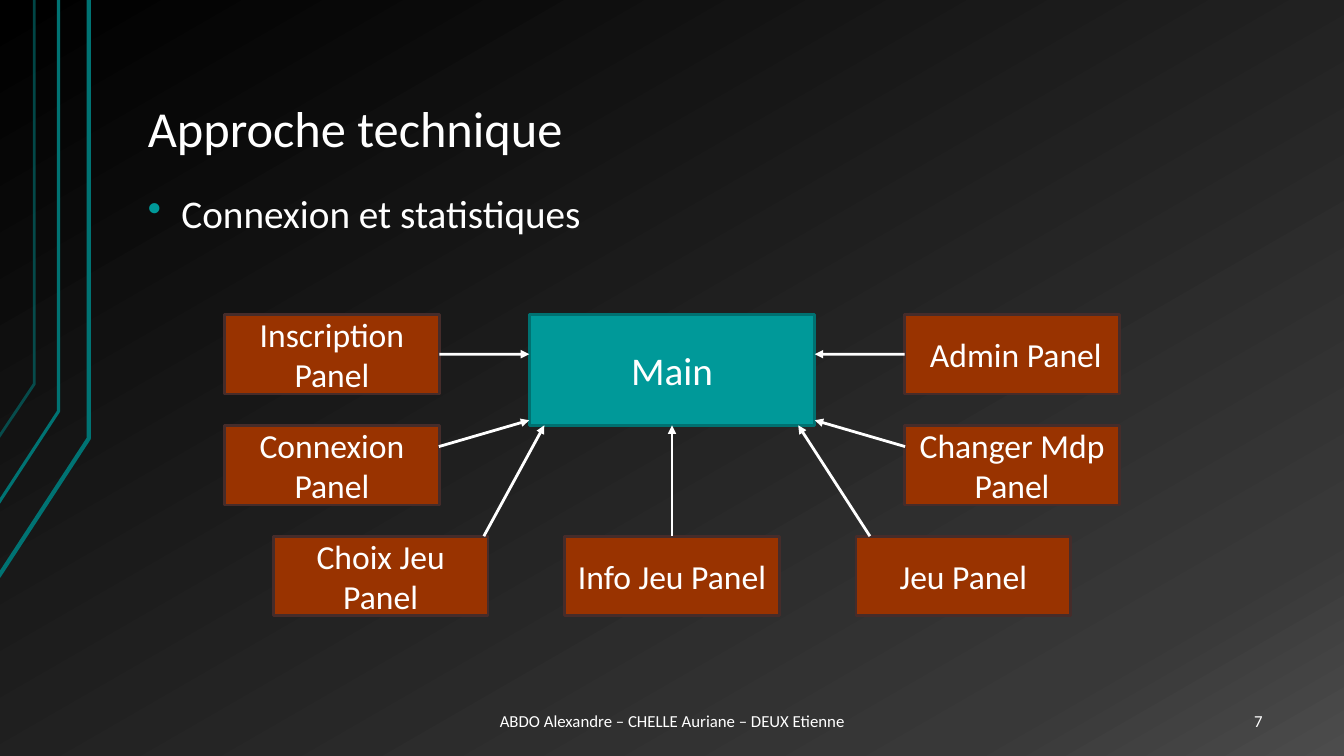
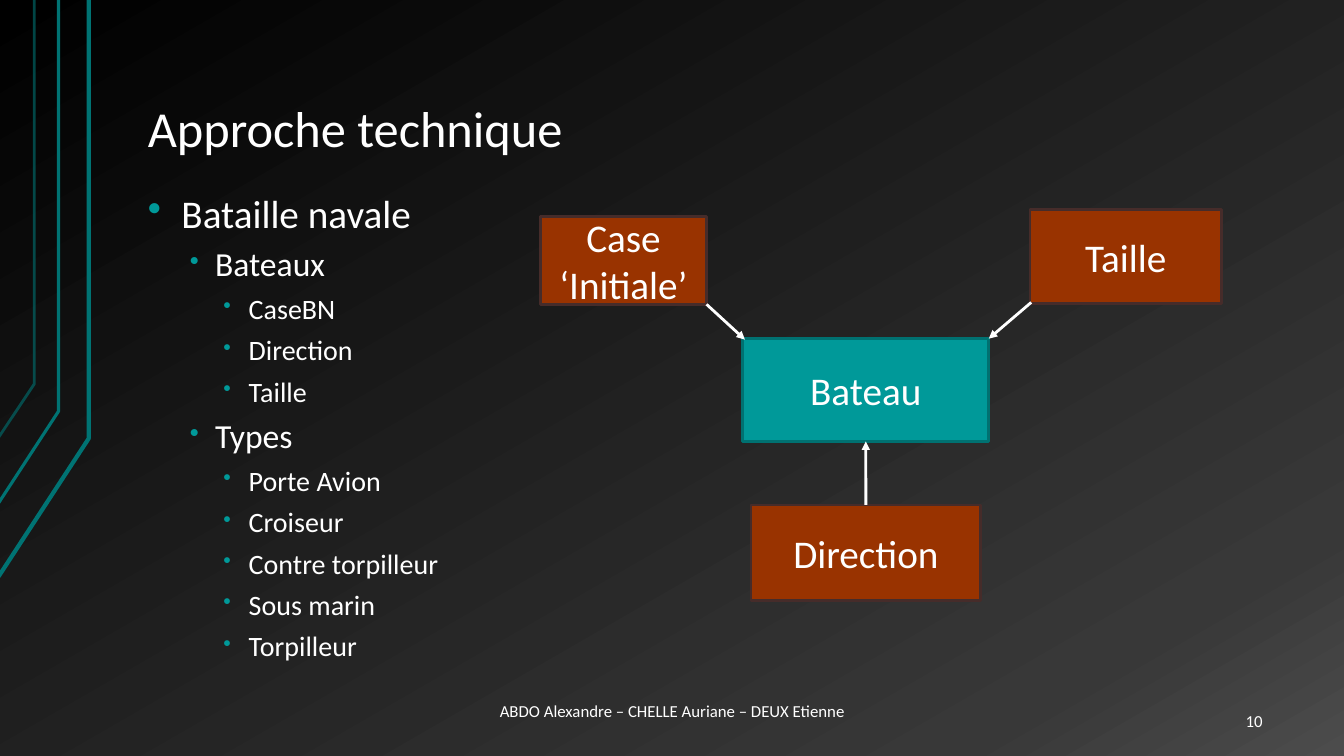
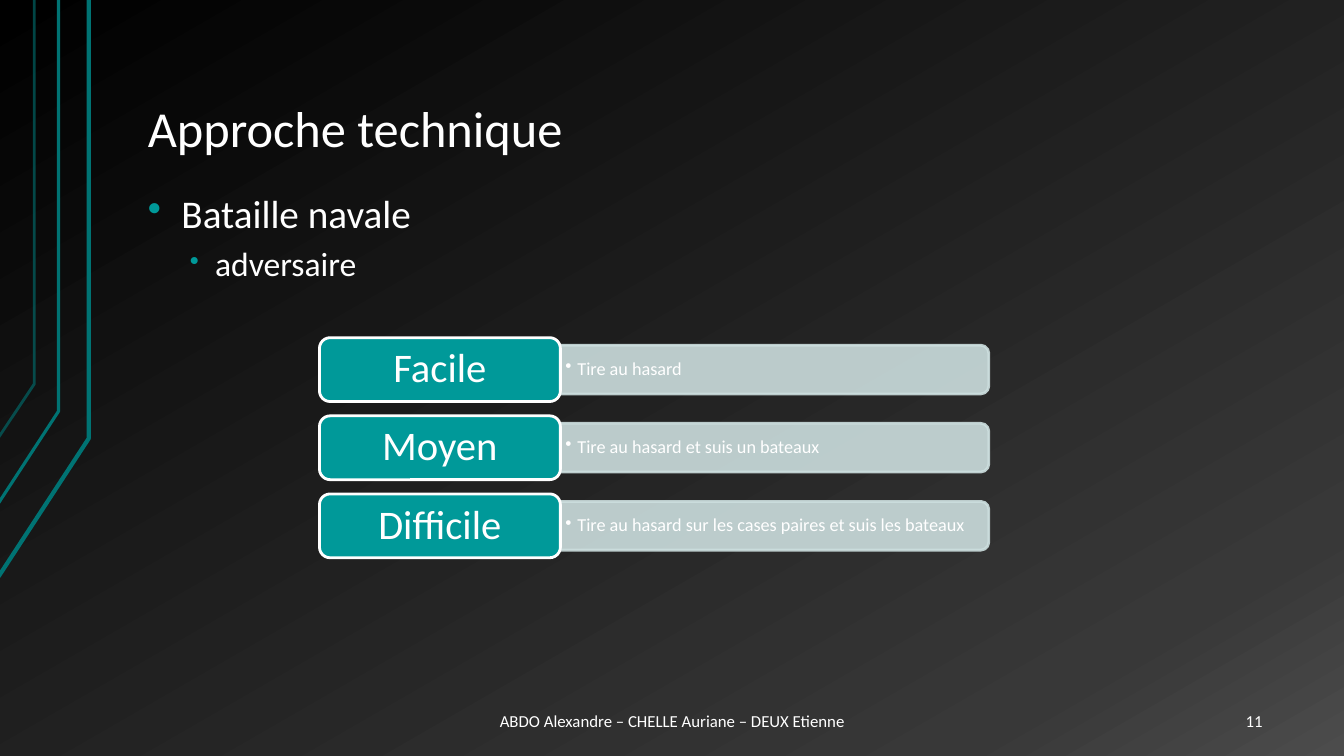
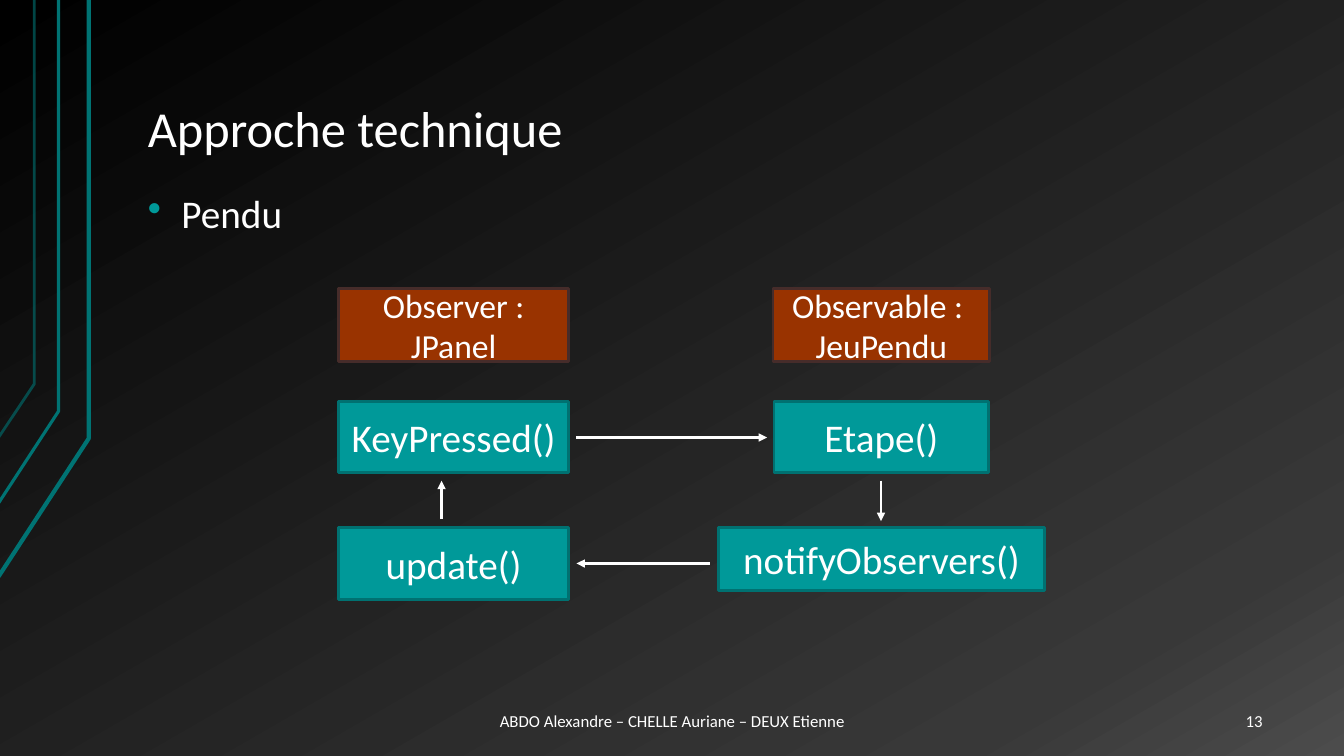
from copy import deepcopy

from lxml import etree
from pptx import Presentation
from pptx.dml.color import RGBColor
from pptx.enum.shapes import MSO_CONNECTOR, MSO_SHAPE
from pptx.enum.text import MSO_ANCHOR, PP_ALIGN
from pptx.oxml.ns import qn
from pptx.util import Pt

RECT, ROUNDED, TAB = MSO_SHAPE.RECTANGLE, MSO_SHAPE.ROUNDED_RECTANGLE, MSO_SHAPE.ROUND_2_SAME_RECTANGLE
STRAIGHT = MSO_CONNECTOR.STRAIGHT
LEFT, CENTER, RIGHT = PP_ALIGN.LEFT, PP_ALIGN.CENTER, PP_ALIGN.RIGHT
TOP, MIDDLE, BOTTOM = MSO_ANCHOR.TOP, MSO_ANCHOR.MIDDLE, MSO_ANCHOR.BOTTOM
TOP_SIDE, LEFT_SIDE, BOTTOM_SIDE, RIGHT_SIDE = range(4)

rgb = RGBColor.from_string
FONT = "Calibri"
WHITE, TEAL, BAND, ICE = "FFFFFF", "009999", "007373", "CCDEDE"
HUB = (TEAL, "007171")
LEAF = ("993300", "462C2A")
TITLE = "Approche technique"
FOOTER = "ABDO Alexandre – CHELLE Auriane – DEUX Etienne"


def write(sp, text, size, align=CENTER, anchor=MIDDLE, inset=(7.2, 3.6)):
    """Set the text of a shape and format all its runs alike."""
    tf = sp.text_frame
    tf.word_wrap = True
    tf.vertical_anchor = anchor
    tf.margin_left = tf.margin_right = Pt(inset[0])
    tf.margin_top = tf.margin_bottom = Pt(inset[1])
    tf.text = text
    for p in tf.paragraphs:
        p.alignment = align
        for r in p.runs:
            r.font.name, r.font.size = FONT, Pt(size)
            r.font.color.rgb = rgb(WHITE)
    return tf


def bullet(p, indent, hang, colour, percent):
    """Give a paragraph a hanging bullet; call after its spacing is set."""
    pPr = p._p.get_or_add_pPr()
    pPr.set("marL", str(Pt(indent)))
    pPr.set("indent", str(-Pt(hang)))
    clr = etree.SubElement(pPr, qn("a:buClr"))
    etree.SubElement(clr, qn("a:srgbClr")).set("val", colour)
    etree.SubElement(pPr, qn("a:buSzPct")).set("val", str(percent * 1000))
    etree.SubElement(pPr, qn("a:buChar")).set("char", "•")


# Presentation and shared background
prs = Presentation()
prs.slide_width, prs.slide_height = Pt(960), Pt(540)
fill = prs.slide_master.background.fill
fill.gradient()
fill.gradient_angle = 300
gs_list = prs.slide_master.element.find(".//" + qn("a:gsLst"))
gs_list.append(deepcopy(gs_list[-1]))
for stop, (position, colour) in zip(fill.gradient_stops, [(0, "000000"), (0.85, "383838"), (1, "4C4C4C")]):
    stop.position = position
    stop.color.rgb = rgb(colour)

# Decorative bands: x, bend y, foot y, line width, opacity
bands = [(63.4, 313.2, 411.8, 3, 100), (41.8, 293.8, 359.3, 2.25, 100), (24.5, 274.3, 312.5, 2, 60)]

# Bullet levels: size, indent, hang, space before, bullet percent
levels = [(28, 24, 24, 16, 100), (24, 48, 18, 8, 80), (20, 72, 18, 8, 80)]

# Panel grid of the first slide
pw, ph = 153.4, 56.9
left_x, right_x = 160.4, 960 - 160.4 - pw
mid_x, step_x = (960 - pw) / 2, 208.1
row1, row2, row3 = [224.6 + 79.2 * i for i in range(3)]

# Columns of the last slide
col_x, col_w = 241.9, 164.2

# Per slide: number, footer top, bullets, boxes, arrows.
# An arrow end is a point or a box with one of its sides.
contents = [
    (7, 500.4, [(0, "Connexion et statistiques")],
     [("Main", 378, row1, 204, 79.2, HUB, 28),
      ("Inscription Panel", left_x, row1, pw, ph, LEAF, 24),
      ("Connexion Panel", left_x, row2, pw, ph, LEAF, 24),
      ("Choix Jeu Panel", mid_x - step_x, row3, pw, ph, LEAF, 24),
      ("Info Jeu Panel", mid_x, row3, pw, ph, LEAF, 24),
      ("Jeu Panel", mid_x + step_x, row3, pw, ph, LEAF, 24),
      ("Changer Mdp Panel", right_x, row2, pw, ph, LEAF, 24),
      (" Admin Panel", right_x, row1, pw, ph, LEAF, 24)],
     [(("Inscription Panel", RIGHT_SIDE), (378, 253)),
      ((313.5, 319), (378, 300.2)),
      ((345.6, 383), (388.8, 303.8)),
      (("Info Jeu Panel", TOP_SIDE), ("Main", BOTTOM_SIDE)),
      ((621.4, 383), (570.2, 303.8)),
      ((646.5, 319), (582, 300.2)),
      ((" Admin Panel", LEFT_SIDE), (582, 253))]),
    (10, 493.2,
     [(0, "Bataille navale"), (1, "Bateaux"), (2, "CaseBN"), (2, "Direction"), (2, "Taille"),
      (1, "Types"), (2, "Porte Avion"), (2, "Croiseur"), (2, "Contre torpilleur"),
      (2, "Sous marin"), (2, "Torpilleur")],
     [("Bateau", 530.6, 241.9, 175.7, 73.4, HUB, 28),
      ("Case ‘Initiale’", 385.9, 154.8, 118.8, 62.6, LEAF, 28),
      ("Direction", 536.4, 360.7, 164.2, 68.4, LEAF, 28),
      ("Taille", 735.8, 149.8, 136.8, 67, LEAF, 28)],
     [((504.7, 217.4), (532.1, 242.6)),
      (("Direction", TOP_SIDE), ("Bateau", BOTTOM_SIDE)),
      ((736.6, 216), (706.3, 241.9))]),
    (11, 500.4, [(0, "Bataille navale"), (1, "adversaire")], [], []),
    (13, 500.4, [(0, "Pendu")],
     [("Observable : \nJeuPendu", 552.2, 205.9, 154.8, 52.6, LEAF, 24),
      ("Etape()", 552.9, 286.6, 153.4, 51.1, HUB, 28),
      ("notifyObservers()", 513.4, 376.6, 232.6, 45.4, HUB, 28),
      ("Observer :\nJPanel", col_x, 205.9, col_w, 52.6, LEAF, 24),
      ("KeyPressed()", col_x, 286.6, col_w, 51.1, HUB, 28),
      ("update()", col_x, 376.6, col_w, 51.8, HUB, 28)],
     [((411.8, 312.5), (547.9, 312.5)),
      ((629.3, 343.4), (629.3, 372.2)),
      ((506.9, 402.5), (411.8, 402.5)),
      ((315.4, 370.8), (315.4, 343.4))]),
]

faded = []  # shapes with their opacity in percent
for number, footer_top, bullets, boxes, arrows in contents:
    s = prs.slides.add_slide(prs.slide_layouts[6])

    # Bands
    for x, bend, foot, width, opacity in bands:
        builder = s.shapes.build_freeform(Pt(-1), Pt(foot))
        builder.add_line_segments([(Pt(x), Pt(bend)), (Pt(x), 0)], close=False)
        sp = builder.convert_to_shape()
        sp.shadow.inherit = False
        sp.fill.background()
        sp.line.color.rgb = rgb(BAND)
        sp.line.width = Pt(width)
        if opacity < 100:
            faded.append((sp, opacity))

    # Title, footer and slide number
    for text, x, y, w, h, size, align, anchor in [
        (TITLE, 96, 21.6, 816, 96.5, 36, LEFT, BOTTOM),
        (FOOTER, 272.2, footer_top, 416.2, 28.8, 12, CENTER, MIDDLE),
        (str(number), 831.6, 500.4, 80, 28.8, 12, RIGHT, MIDDLE),
    ]:
        sp = s.shapes.add_textbox(Pt(x), Pt(y), Pt(w), Pt(h))
        tf = write(sp, text, size, align, anchor, (9.6, 4.8))
        if text == TITLE:
            tf.paragraphs[0].line_spacing = 0.9

    # Bullets
    sp = s.shapes.add_textbox(Pt(96), Pt(133.9), Pt(816), Pt(351.4))
    tf = write(sp, "\n".join(text for _, text in bullets), 28, LEFT, TOP, (9.6, 4.8))
    for p, (level, _) in zip(tf.paragraphs, bullets):
        size, indent, hang, before, percent = levels[level]
        p.level = level
        p.line_spacing = 0.9
        p.space_before = Pt(before)
        p.runs[0].font.size = Pt(size)
        bullet(p, indent, hang, TEAL, percent)

    # Boxes
    placed = {}
    for text, x, y, w, h, (colour, edge), size in boxes:
        sp = s.shapes.add_shape(RECT, Pt(x), Pt(y), Pt(w), Pt(h))
        sp.shadow.inherit = False
        sp.fill.solid()
        sp.fill.fore_color.rgb = rgb(colour)
        sp.line.color.rgb = rgb(edge)
        sp.line.width = Pt(2)
        write(sp, text, size)
        placed[text] = sp

    # Arrows
    for start, end in arrows:
        cn = s.shapes.add_connector(STRAIGHT, 0, 0, 0, 0)
        if start[0] in placed:
            cn.begin_connect(placed[start[0]], start[1])
        else:
            cn.begin_x, cn.begin_y = Pt(start[0]), Pt(start[1])
        if end[0] in placed:
            cn.end_connect(placed[end[0]], end[1])
        else:
            cn.end_x, cn.end_y = Pt(end[0]), Pt(end[1])
        cn.line.color.rgb = rgb(WHITE)
        cn.line.width = Pt(2)
        spPr = cn.element.spPr
        etree.SubElement(spPr.find(qn("a:ln")), qn("a:tailEnd")).set("type", "triangle")
        etree.SubElement(spPr, qn("a:effectLst"))

# Difficulty levels of the opponent
s = prs.slides[2]
difficulties = [
    ("Facile", "Tire au hasard"),
    ("Moyen", "Tire au hasard et suis un bateaux"),
    ("Difficile", "Tire au hasard sur les cases paires et suis les bateaux"),
]
bar_w, bar_h = 306, 34.8
for i, (name, rule) in enumerate(difficulties):
    y = 241.2 + 55.8 * i
    mid_y = y + 45.6 / 2
    # The bar is an upright tab turned by a quarter
    bar = s.shapes.add_shape(TAB, Pt(400.3 + (bar_w - bar_h) / 2), Pt(mid_y - bar_w / 2), Pt(bar_h), Pt(bar_w))
    bar.rotation = 90
    faded.append((bar, 90))
    sp = s.shapes.add_textbox(Pt(400.3), Pt(mid_y - 15.5), Pt(304), Pt(31))
    p = write(sp, rule, 13, LEFT, MIDDLE, (3.6, 2.2)).paragraphs[0]
    p.line_spacing = 0.9
    bullet(p, 8.6, 8.6, WHITE, 100)
    label = s.shapes.add_shape(ROUNDED, Pt(228.2), Pt(y), Pt(172.1), Pt(45.6))
    write(label, name, 29).paragraphs[0].line_spacing = 0.9
    for sp, colour, edge in [(bar, ICE, ICE), (label, TEAL, WHITE)]:
        sp.shadow.inherit = False
        sp.fill.solid()
        sp.fill.fore_color.rgb = rgb(colour)
        sp.line.color.rgb = rgb(edge)
        sp.line.width = Pt(2)

# Transparency
for sp, opacity in faded:
    for clr in sp.element.spPr.iter(qn("a:srgbClr")):
        etree.SubElement(clr, qn("a:alpha")).set("val", str(opacity * 1000))

prs.save("out.pptx")
